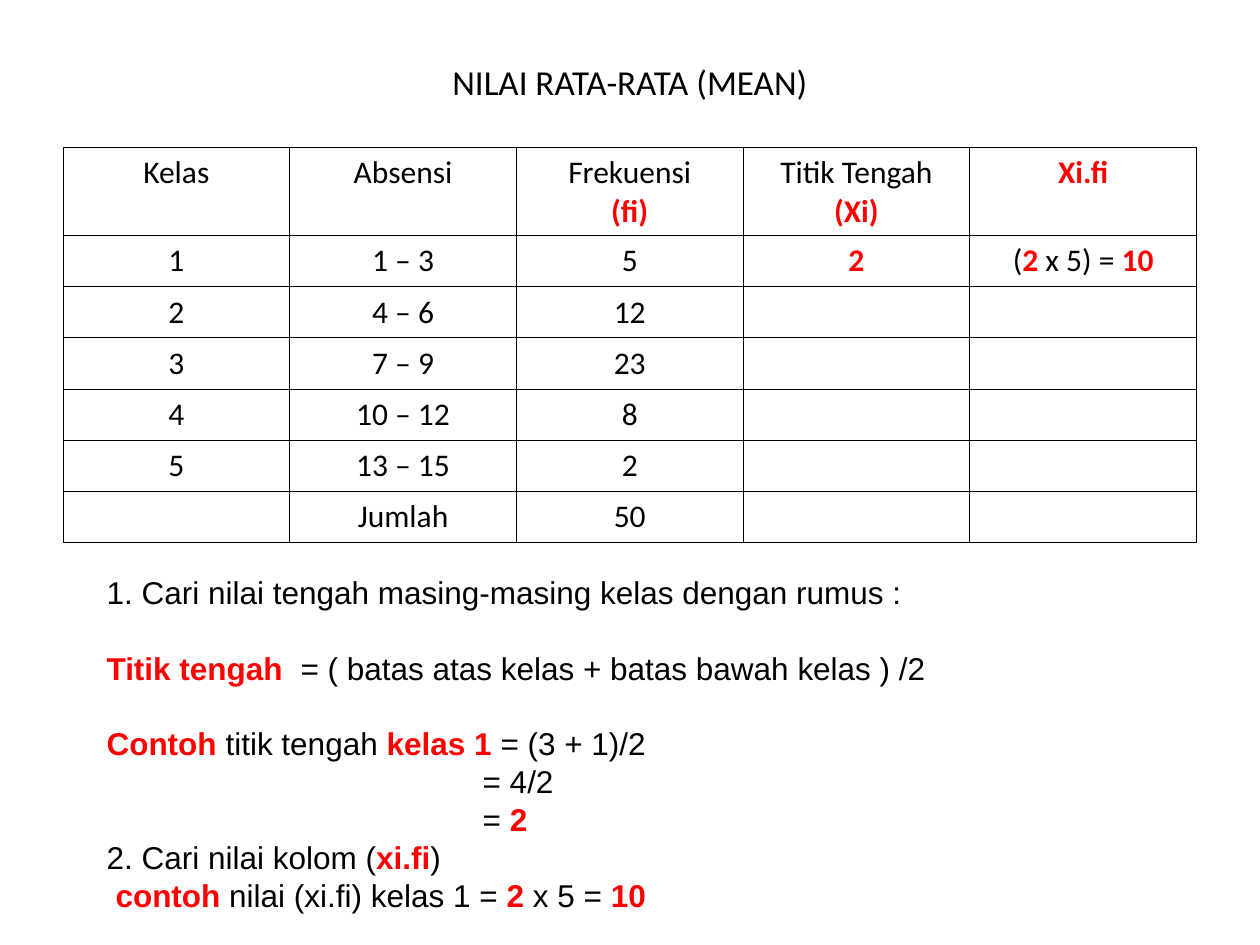
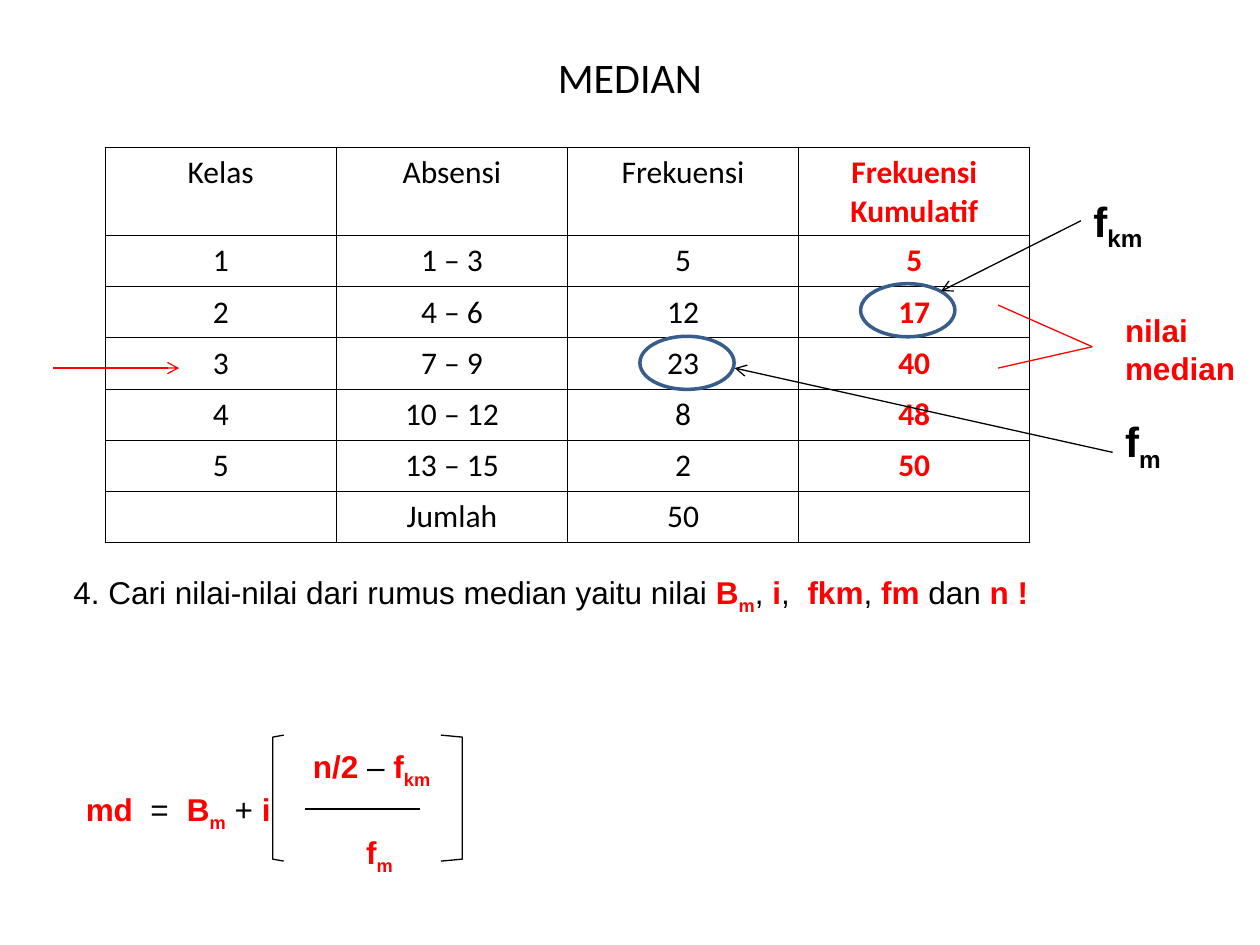
import pptx
import pptx.util
import pptx.dml.color
import pptx.enum.shapes
import pptx.enum.text
import pptx.oxml.ns
import lxml.etree

Cm, Pt = pptx.util.Cm, pptx.util.Pt
qn = pptx.oxml.ns.qn
RGB = pptx.dml.color.RGBColor.from_string
CENTER = pptx.enum.text.PP_ALIGN.CENTER
COLOURS = {"ink": "000000", "accent": "FF0000", "ring": "385D8A"}


def write(frame, text, size=18, font="Arial", align=None, bold=False, indent=0, before=0, tabs=()):
    """Add one paragraph: *...* is red and bold, _..._ is subscript."""
    first = frame.paragraphs[0]
    paragraph = frame.add_paragraph() if first.runs else first
    paragraph.alignment = align
    properties = paragraph._p.get_or_add_pPr()
    if indent:
        properties.set("marL", str(Cm(indent)))
    if before:
        paragraph.space_before = Pt(before)
    if tabs:
        stops = lxml.etree.SubElement(properties, qn("a:tabLst"))
        for stop in tabs:
            lxml.etree.SubElement(stops, qn("a:tab"), pos=str(Cm(stop)), algn="l")
    for i, stretch in enumerate(text.split("*")):
        for j, piece in enumerate(stretch.split("_")):
            if not piece:
                continue
            run = paragraph.add_run()
            run.text = piece
            run.font.size = Pt(size)
            run.font.name = font
            run.font.bold = bold or i % 2 == 1
            run.font.color.rgb = RGB(COLOURS["accent" if i % 2 else "ink"])
            if j % 2:
                run._r.get_or_add_rPr().set("baseline", "-25000")


def text_box(slide, left, top, width, height):
    frame = slide.shapes.add_textbox(Cm(left), Cm(top), Cm(width), Cm(height)).text_frame
    frame.word_wrap = True
    return frame


deck = pptx.Presentation()
deck.slide_width, deck.slide_height = Cm(25.4), Cm(19.05)

classes = [
    ["1", "1 – 3", "5"],
    ["2", "4 – 6", "12"],
    ["3", "7 – 9", "23"],
    ["4", "10 – 12", "8"],
    ["5", "13 – 15", "2"],
    ["", "Jumlah", "50"],
]
mean_extra = [["*2*", "(*2* x 5) = *10*"]] + [["", ""]] * 5
cumulative = [["*5*"], ["*17*"], ["*40*"], ["*48*"], ["*50*"], [""]]
mean_head = ["Kelas", "Absensi", "Frekuensi\n*(fi)*", "Titik Tengah\n*(Xi)*", "*Xi.fi*"]
median_head = ["Kelas", "Absensi", "Frekuensi", "*Frekuensi Kumulatif*"]

pages = [
    ("NILAI RATA-RATA (MEAN)", 20, 1.78, 1.27, 4.57, mean_head, mean_extra),
    ("MEDIAN", 24, 1.57, 2.12, 4.66, median_head, cumulative),
]
slides = []
for title, title_size, title_height, left, column_width, head, extra in pages:
    slide = deck.slides.add_slide(deck.slide_layouts[6])
    slides.append(slide)
    heading = text_box(slide, 1.27, 0.76, 22.86, title_height)
    heading.vertical_anchor = pptx.enum.text.MSO_ANCHOR.MIDDLE
    write(heading, title, size=title_size, font="Calibri", align=CENTER)

    rows = [head] + [known + added for known, added in zip(classes, extra)]
    table = slide.shapes.add_table(
        len(rows), len(head), Cm(left), Cm(2.97), Cm(column_width * len(head)), Cm(7.96)
    ).table
    table.first_row = table.horz_banding = False
    for column in table.columns:
        column.width = Cm(column_width)
    for r, values in enumerate(rows):
        table.rows[r].height = Cm(1.03 if r else 1.78)
        for c, value in enumerate(values):
            cell = table.cell(r, c)
            for line in value.split("\n"):
                write(cell.text_frame, line, font="Calibri", align=CENTER)
            borders = cell._tc.get_or_add_tcPr()
            for side in ("a:lnL", "a:lnR", "a:lnT", "a:lnB"):
                border = lxml.etree.SubElement(borders, qn(side), w=str(Pt(0.45)))
                ink = lxml.etree.SubElement(border, qn("a:solidFill"))
                lxml.etree.SubElement(ink, qn("a:srgbClr"), val=COLOURS["ink"])
            cell.fill.background()

mean, median = slides

steps = text_box(mean, 1.9, 11.43, 22.86, 7.5)
write(steps, "1. Cari nilai tengah masing-masing kelas dengan rumus :")
write(steps, "*Titik tengah*\t= ( batas atas kelas + batas bawah kelas ) /2", before=21.6, tabs=[3.91])
write(steps, "*Contoh* titik tengah *kelas 1* = (3 + 1)/2", before=21.6)
write(steps, "= 4/2", indent=7.58)
write(steps, "= *2*", indent=7.58)
write(steps, "2. Cari nilai kolom (*xi.fi*)")
write(steps, "*contoh* nilai (xi.fi) kelas 1 = *2* x 5 = *10*", indent=0.18)

median_label = text_box(median, 22.43, 6.15, 2.97, 1.78)
write(median_label, "*nilai*")
write(median_label, "*median*")

task = text_box(median, 1.23, 11.43, 22.23, 1.12)
write(task, "4. Cari nilai-nilai dari rumus median yaitu nilai *B_m_*, *i*,\t*fkm*, *fm* dan *n !*", tabs=[14.8])

formula = text_box(median, 1.48, 14.94, 10.6, 3.6)
write(formula, "*n/2* – *f_km_*", indent=4.58)
write(formula, "*md*\t=\t*B_m_* + *i*", tabs=[1.3, 2.04])
write(formula, "*f_m_*", indent=5.65)

for label, left, top in [("f_km_", 21.79, 3.81), ("f_m_", 22.43, 8.26)]:
    write(text_box(median, left, top, 2.34, 1.42), label, size=24, bold=True)

for left, top in [(17.35, 5.72), (12.9, 6.78)]:
    ring = median.shapes.add_shape(
        pptx.enum.shapes.MSO_SHAPE.OVAL, Cm(left), Cm(top), Cm(1.9), Cm(1.07)
    )
    ring.shadow.inherit = False
    ring.fill.background()
    ring.line.color.rgb = RGB(COLOURS["ring"])
    ring.line.width = Pt(2)

for x1, y1, x2, y2, colour, arrow in [
    (20.12, 6.15, 22.02, 6.99, "accent", False),
    (20.12, 7.42, 22.02, 6.99, "accent", False),
    (6.15, 16.31, 8.46, 16.31, "ink", False),
    (21.79, 4.45, 18.97, 5.87, "ink", True),
    (22.43, 9.12, 14.81, 7.42, "ink", True),
    (1.07, 7.42, 3.61, 7.42, "accent", True),
]:
    pointer = median.shapes.add_connector(
        pptx.enum.shapes.MSO_CONNECTOR.STRAIGHT, Cm(x1), Cm(y1), Cm(x2), Cm(y2)
    )
    pointer.line.color.rgb = RGB(COLOURS[colour])
    pointer.line.width = Pt(0.75)
    if arrow:
        lxml.etree.SubElement(pointer.line._get_or_add_ln(), qn("a:tailEnd"), type="arrow")
    lxml.etree.SubElement(pointer._element.spPr, qn("a:effectLst"))

for tip, spine in [(5.72, 5.5), (8.89, 9.32)]:
    outline = median.shapes.build_freeform(Cm(tip), Cm(14.82))
    outline.add_line_segments(
        [(Cm(spine), Cm(14.86)), (Cm(spine), Cm(17.32)), (Cm(tip), Cm(17.36))], close=False
    )
    bracket = outline.convert_to_shape()
    bracket.shadow.inherit = False
    bracket.fill.background()
    bracket.line.color.rgb = RGB(COLOURS["ink"])
    bracket.line.width = Pt(0.75)

deck.save("out.pptx")
